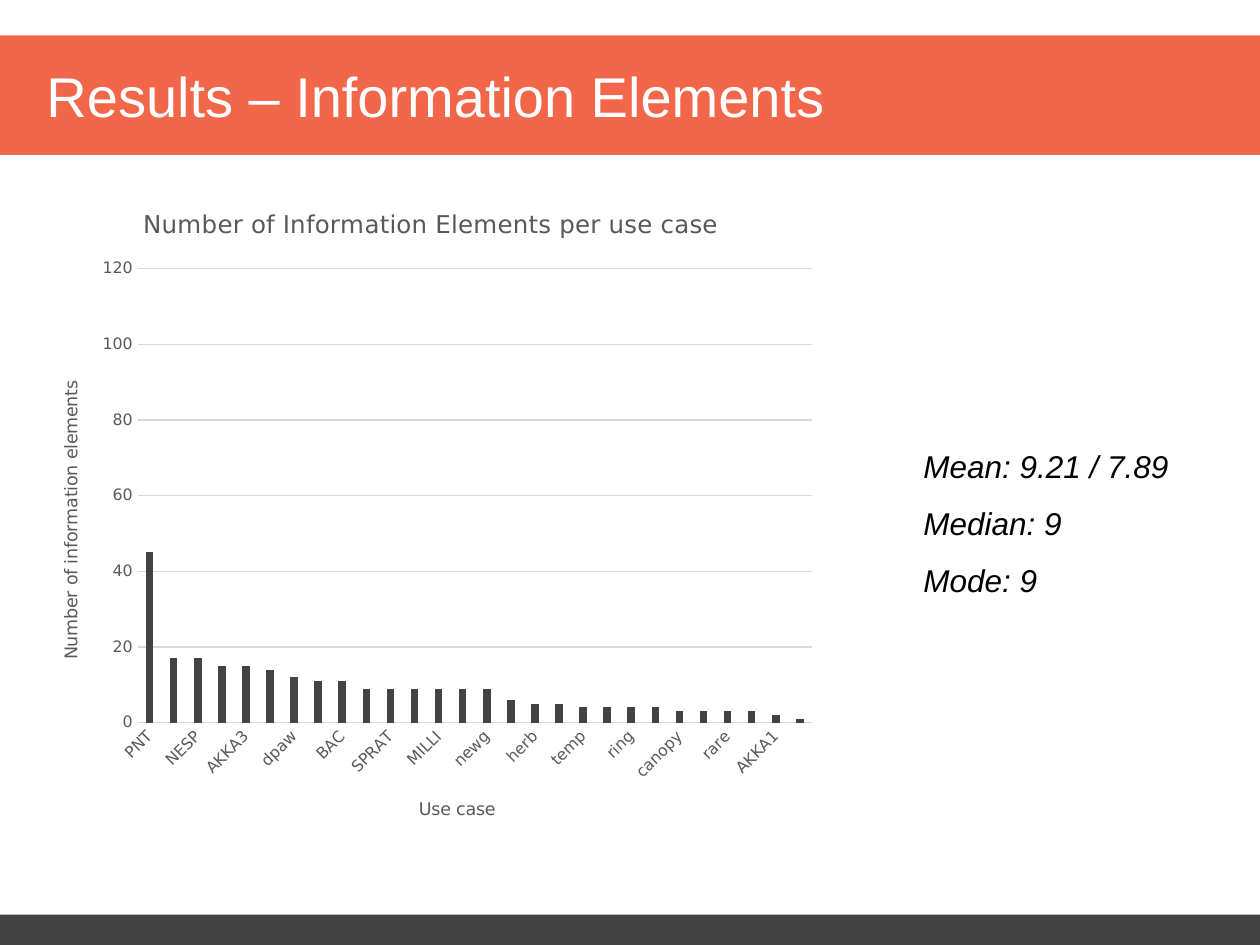
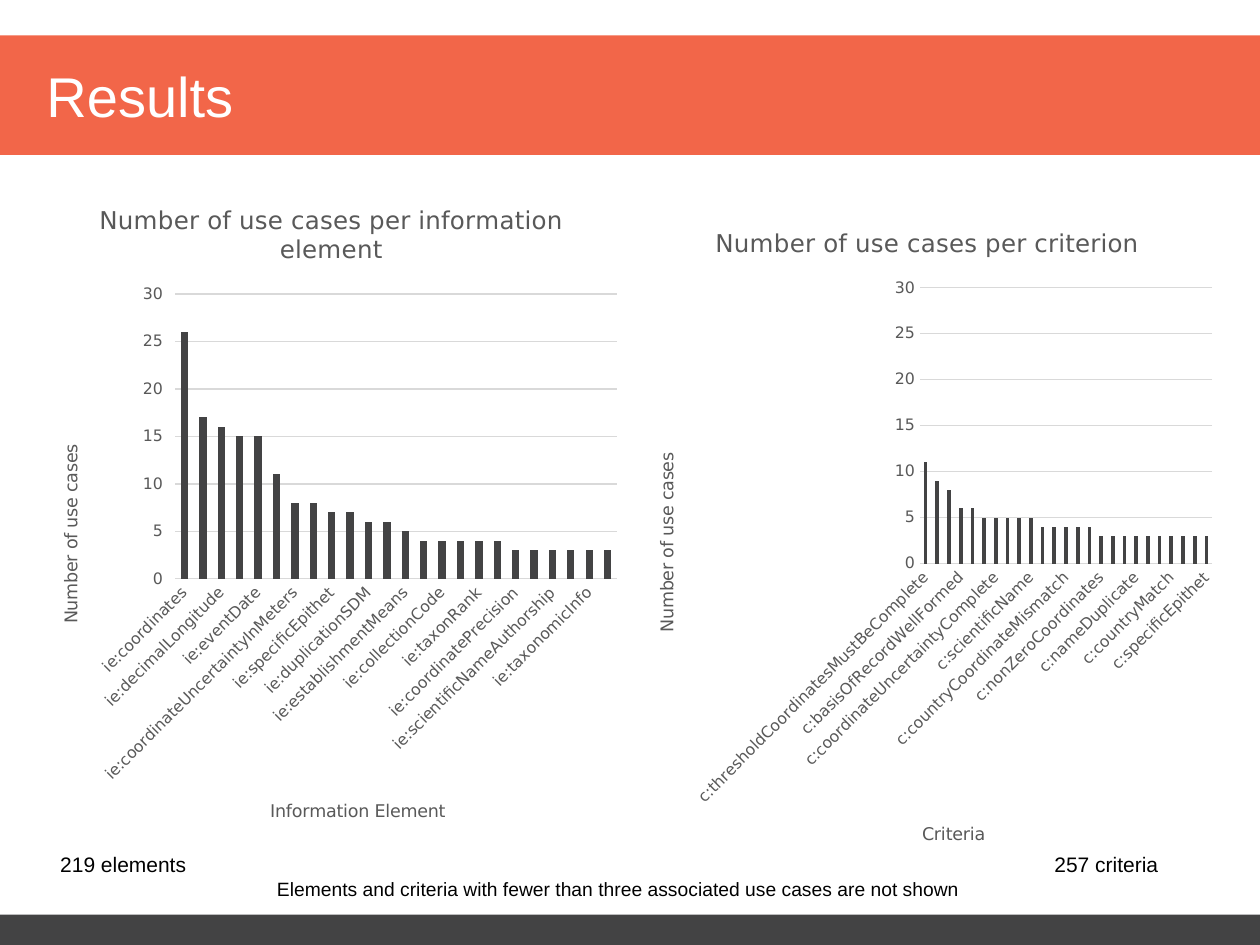
import pptx
import pptx.chart.data
import pptx.dml.color
import pptx.enum.chart
import pptx.enum.shapes
import pptx.enum.text
import pptx.util
from pptx.util import Inches

RGBColor = pptx.dml.color.RGBColor
Pt = pptx.util.Pt
TickMark = pptx.enum.chart.XL_TICK_MARK

ORANGE = RGBColor(0xF2, 0x66, 0x49)
DARK = RGBColor(0x43, 0x43, 0x44)
WHITE = RGBColor(0xFF, 0xFF, 0xFF)
BLACK = RGBColor(0x00, 0x00, 0x00)
AXIS_TEXT = RGBColor(0x59, 0x59, 0x59)
GRID = RGBColor(0xD9, 0xD9, 0xD9)
TEXT_FONT = "Arial"
CHART_FONT = "DejaVu Sans"

USE_CASES = {
    "PNT": 45, "OBIS": 17, "NESP": 17, "AKKA2": 15, "AKKA3": 15, "niche": 14,
    "dpaw": 12, "ANHATLoad": 11, "BAC": 11, "gap": 9, "SPRAT": 9, "SDM": 9,
    "MILLI": 9, "u32": 9, "newg": 9, "SAA": 6, "herb": 5, "strat": 5,
    "temp": 4, "palaeo": 4, "ring": 4, "solen": 4, "canopy": 3, "fossil": 3,
    "rare": 3, "rich": 3, "AKKA1": 2, "clim": 1,
}
ELEMENTS = {
    "coordinates": 26, "scientificName": 17, "decimalLongitude": 16,
    "decimalLatitude": 15, "eventDate": 15, "country": 11,
    "coordinateUncertaintyInMeters": 8, "basisOfRecord": 8,
    "specificEpithet": 7, "locality": 7, "duplicationSDM": 6, "recordedBy": 6,
    "establishmentMeans": 5, "catalogNumber": 4, "collectionCode": 4,
    "institutionCode": 4, "taxonRank": 4, "month": 4, "coordinatePrecision": 3,
    "Identifier": 3, "scientificNameAuthorship": 3, "stateProvince": 3,
    "taxonomicInfo": 3, "year": 3,
}
CRITERIA = {
    "thresholdCoordinatesMustBeComplete": 11, "scientificNameMatch": 9,
    "coordinateRange": 8, "basisOfRecordWellFormed": 6,
    "threshold100Complete": 6, "terrestrialHabitatValid": 5,
    "coordinateUncertaintyComplete": 5, "duplicationSDM": 5,
    "eventDateCompleteness": 5, "scientificName": 5, "coordinateLocation": 4,
    "speciesOutsideExpertRange": 4, "countryCoordinateMismatch": 4,
    "validEventDate": 4, "specificEpithetSpecies": 4, "nonZeroCoordinates": 3,
    "coordinateHabitatMismatch": 3, "detectedOutlierEnvironmental": 3,
    "nameDuplicate": 3, "coordinateUncertainty1000": 3, "country": 3,
    "countryMatch": 3, "occurrenceIsCultivatedOrEscapee": 3,
    "AKKAScientificName": 3, "specificEpithet": 3,
}


def style_font(font, size, color, name=TEXT_FONT, italic=False):
    font.size = Pt(size)
    font.color.rgb = color
    font.name = name
    font.bold = False
    font.italic = italic


class Deck:
    """Holds the shared style and the slide being built."""

    def __init__(self):
        self.presentation = pptx.Presentation()
        self.presentation.slide_width = Inches(10)
        self.presentation.slide_height = Inches(7.5)
        self.slide = None

    def add_slide(self, title):
        self.slide = self.presentation.slides.add_slide(
            self.presentation.slide_layouts[6])
        self.add_band(0.28, 0.95, ORANGE)
        self.add_band(7.26, 0.24, DARK)
        self.add_text(0.27, 0.28, 6.95, 0.95, [title], 32, WHITE,
                      anchor=pptx.enum.text.MSO_ANCHOR.MIDDLE)

    def add_band(self, top, height, color):
        band = self.slide.shapes.add_shape(
            pptx.enum.shapes.MSO_SHAPE.RECTANGLE,
            Inches(0), Inches(top), Inches(10), Inches(height))
        band.shadow.inherit = False
        band.fill.solid()
        band.fill.fore_color.rgb = color
        band.line.fill.background()

    def add_text(self, left, top, width, height, lines, size, color=BLACK,
                 italic=False, spacing=1.0,
                 anchor=pptx.enum.text.MSO_ANCHOR.TOP):
        box = self.slide.shapes.add_textbox(
            Inches(left), Inches(top), Inches(width), Inches(height))
        frame = box.text_frame
        frame.word_wrap = True
        frame.vertical_anchor = anchor
        frame.text = "\n".join(lines)
        for paragraph in frame.paragraphs:
            paragraph.line_spacing = spacing
            for run in paragraph.runs:
                style_font(run.font, size, color, italic=italic)

    def add_title(self, owner, text, size):
        """Title a chart or one of its axes."""
        owner.has_title = True
        title = owner.chart_title if hasattr(owner, "chart_title") else owner.axis_title
        title.text_frame.text = text
        style_font(title.text_frame.paragraphs[0].runs[0].font,
                   size, AXIS_TEXT, CHART_FONT)

    def add_column_chart(self, left, top, width, height, title, category_title,
                         value_title, counts, maximum, prefix="", gap=219,
                         overlap=-27, value_tick=TickMark.NONE):
        data = pptx.chart.data.CategoryChartData()
        data.categories = [prefix + name for name in counts]
        data.add_series("Series 1", counts.values())
        chart = self.slide.shapes.add_chart(
            pptx.enum.chart.XL_CHART_TYPE.COLUMN_CLUSTERED,
            Inches(left), Inches(top), Inches(width), Inches(height), data).chart
        chart.has_legend = False
        style_font(chart.font, 10, BLACK, CHART_FONT)
        self.add_title(chart, title, 14)

        # Columns
        plot = chart.plots[0]
        plot.vary_by_categories = False
        plot.gap_width = gap
        plot.overlap = overlap
        fill = plot.series[0].format.fill
        fill.solid()
        fill.fore_color.rgb = DARK

        # Axes
        category_axis, value_axis = chart.category_axis, chart.value_axis
        for axis, axis_title, tick in (
                (category_axis, category_title, TickMark.NONE),
                (value_axis, value_title, value_tick)):
            self.add_title(axis, axis_title, 10)
            style_font(axis.tick_labels.font, 9, AXIS_TEXT, CHART_FONT)
            axis.major_tick_mark = tick
            axis.minor_tick_mark = TickMark.NONE
        value_axis.minimum_scale = 0
        value_axis.maximum_scale = maximum
        value_axis.has_major_gridlines = True
        value_axis.format.line.fill.background()
        for line in (category_axis.format.line,
                     value_axis.major_gridlines.format.line):
            line.color.rgb = GRID
            line.width = Pt(0.75)

        # Category labels slant upwards by 45 degrees
        body = category_axis._element.txPr.bodyPr
        body.set("rot", "-2700000")
        body.set("vert", "horz")


def main():
    deck = Deck()

    # Information elements per use case
    deck.add_slide("Results – Information Elements")
    deck.add_column_chart(
        0.27, 1.45, 6.3, 5.26, "Number of Information Elements per use case",
        "Use case", "Number of information elements", USE_CASES, 120)
    deck.add_text(7.23, 3.35, 2.32, 1.46,
                  ["Mean: 9.21 / 7.89", "Median: 9", "Mode: 9"],
                  18, italic=True, spacing=1.5)

    # Use cases per element and per criterion
    deck.add_slide("Results")
    deck.add_text(2.1, 6.91, 5.7, 0.29,
                  ["Elements and criteria with fewer than three associated "
                   "use cases are not shown"], 11)
    deck.add_column_chart(
        0.27, 1.42, 4.72, 5.31, "Number of use cases per information element",
        "Information Element", "Number of use cases", ELEMENTS, 30,
        prefix="ie:", gap=150, overlap=0, value_tick=TickMark.OUTSIDE)
    deck.add_text(0.38, 6.71, 1.26, 0.3, ["219 elements"], 12)
    deck.add_text(8.27, 6.71, 1.12, 0.3, ["257 criteria"], 12)
    deck.add_column_chart(
        5, 1.6, 4.72, 5.31, "Number of use cases per criterion",
        "Criteria", "Number of use cases", CRITERIA, 30, prefix="c:")

    deck.presentation.save("out.pptx")


if __name__ == "__main__":
    main()
